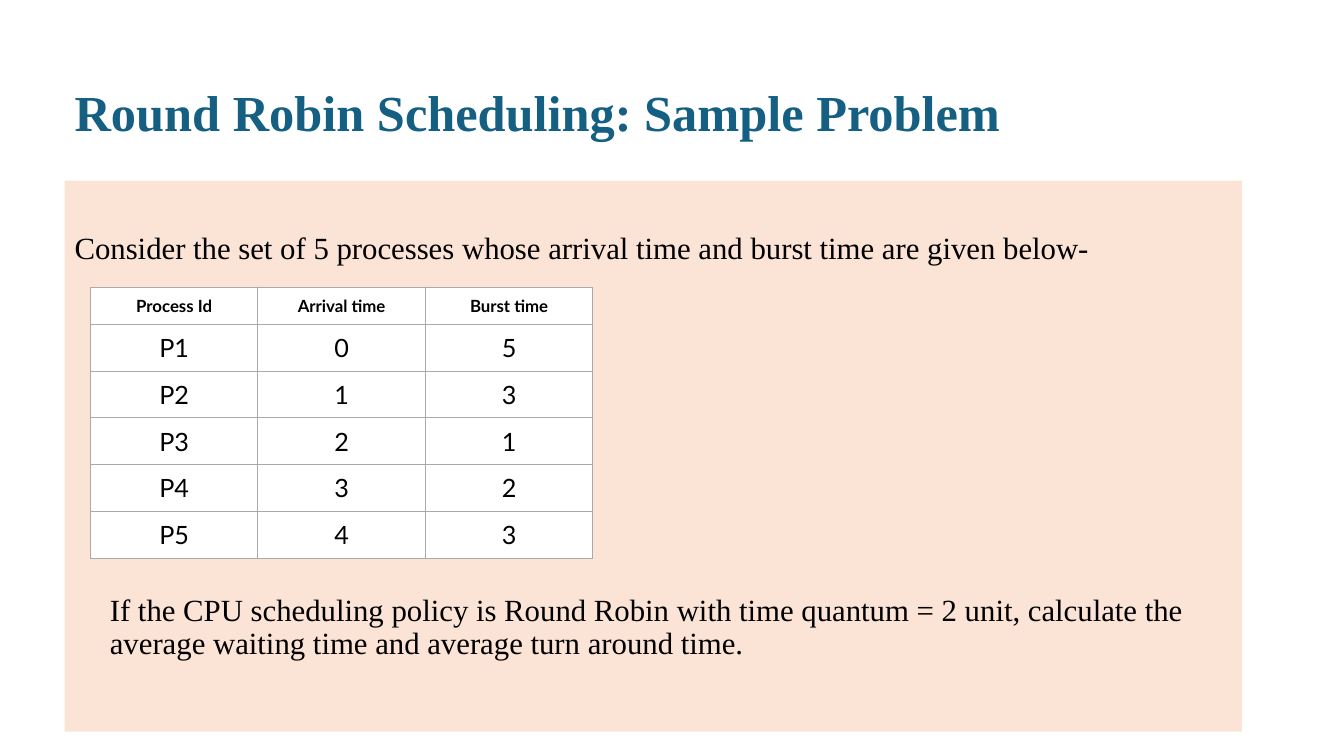
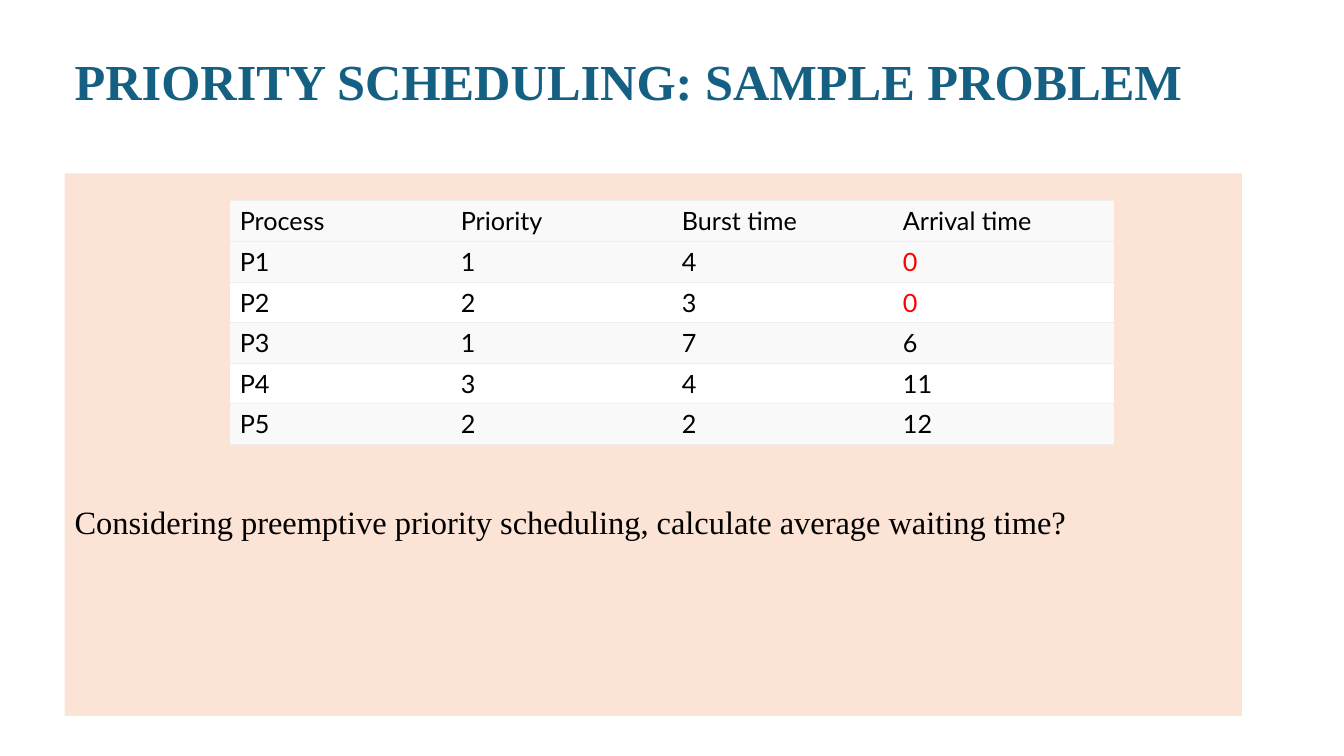
from dataclasses import dataclass

from lxml import etree
from pptx import Presentation
from pptx import util as u
from pptx.dml.color import RGBColor
from pptx.enum import shapes, text
from pptx.oxml import ns


@dataclass(frozen=True)
class Theme:
    title_blue: str = "156082"
    panel_peach: str = "FBE3D6"
    ink: str = "000000"
    highlight_red: str = "FF0000"
    white: str = "FFFFFF"
    stripe: str = "F9F9F9"
    grid_grey: str = "AAAAAA"
    rule_grey: str = "EEEEEE"
    serif: str = "Times New Roman"
    sans: str = "Lato"
    title_size: float = 36
    cell_size: float = 18
    header_size: float = 12
    border_width: float = 0.75


THEME = Theme()
LEFT, WIDTH = u.Cm(1.63), u.Cm(29.67)
TITLE_HEIGHT = u.Cm(1.8)


@dataclass(frozen=True)
class Statement:
    wording: str
    indent: float = 0  # cm
    gap_before: float = 0  # pt
    line_spacing: float = 1.0


@dataclass(frozen=True)
class Panel:
    top: float
    height: float
    text_offset: float
    size: float
    statements: tuple[Statement, ...]


@dataclass(frozen=True)
class ProcessTable:
    left: float
    top: float
    column_width: float
    header_height: float
    row_height: float
    rows: tuple[tuple[str, ...], ...]
    header_size: float
    header_bold: bool
    alignment: text.PP_ALIGN
    padding: float  # cm above and below the text
    fills: tuple[str, str]  # odd rows, even rows
    border: str
    bordered_sides: str
    highlighted: tuple[tuple[int, int], ...] = ()


@dataclass(frozen=True)
class Problem:
    title: str
    title_top: float
    panel: Panel
    table: ProcessTable


PROBLEMS = (
    Problem(
        title="Round Robin Scheduling: Sample Problem",
        title_top=2.1,
        panel=Panel(4.55, 13.89, 1.22, 22, (
            Statement("Consider the set of 5 processes whose arrival time and "
                      "burst time are given below-"),
            Statement("If the CPU scheduling policy is Round Robin with time "
                      "quantum = 2 unit, calculate the average waiting time "
                      "and average turn around time.",
                      indent=0.89, gap_before=235, line_spacing=0.9),
        )),
        table=ProcessTable(
            left=2.28, top=7.24, column_width=4.22,
            header_height=0.93, row_height=1.18,
            rows=(
                ("Process Id", "Arrival time", "Burst time"),
                ("P1", "0", "5"),
                ("P2", "1", "3"),
                ("P3", "2", "1"),
                ("P4", "3", "2"),
                ("P5", "4", "3"),
            ),
            header_size=THEME.header_size, header_bold=True,
            alignment=text.PP_ALIGN.CENTER, padding=0.2,
            fills=(THEME.white, THEME.white),
            border=THEME.grid_grey, bordered_sides="LRTB",
        ),
    ),
    Problem(
        title="PRIORITY SCHEDULING: SAMPLE PROBLEM",
        title_top=1.3,
        panel=Panel(4.37, 13.67, 8.28, 23.2, (
            Statement("Considering preemptive priority scheduling, calculate "
                      "average waiting time?"),
        )),
        table=ProcessTable(
            left=5.79, top=5.06, column_width=5.57,
            header_height=1.02, row_height=1.02,
            rows=(
                ("Process", "Priority", "Burst time", "Arrival time"),
                ("P1", "1", "4", "0"),
                ("P2", "2", "3", "0"),
                ("P3", "1", "7", "6"),
                ("P4", "3", "4", "11"),
                ("P5", "2", "2", "12"),
            ),
            header_size=THEME.cell_size, header_bold=False,
            alignment=text.PP_ALIGN.LEFT, padding=0.13,
            fills=(THEME.stripe, THEME.white),
            border=THEME.rule_grey, bordered_sides="TB",
            highlighted=((1, 3), (2, 3)),
        ),
    ),
)


def rgb(colour: str) -> RGBColor:
    return RGBColor.from_string(colour)


def style_runs(paragraph, font_name: str, size: float, colour: str,
               bold: bool = False) -> None:
    for run in paragraph.runs:
        run.font.name = font_name
        run.font.size = u.Pt(size)
        run.font.bold = bold
        run.font.color.rgb = rgb(colour)


def add_title(slide, wording: str, top: float) -> None:
    frame = slide.shapes.add_textbox(LEFT, u.Cm(top), WIDTH, TITLE_HEIGHT).text_frame
    frame.word_wrap = True
    frame.text = wording
    heading = frame.paragraphs[0]
    heading.line_spacing = 0.9
    style_runs(heading, THEME.serif, THEME.title_size, THEME.title_blue, bold=True)


def add_panel(slide, panel: Panel) -> None:
    backdrop = slide.shapes.add_shape(
        shapes.MSO_SHAPE.RECTANGLE, LEFT, u.Cm(panel.top), WIDTH, u.Cm(panel.height))
    backdrop.shadow.inherit = False
    backdrop.fill.solid()
    backdrop.fill.fore_color.rgb = rgb(THEME.panel_peach)
    backdrop.line.fill.background()
    frame = backdrop.text_frame
    frame.word_wrap = True
    frame.vertical_anchor = text.MSO_ANCHOR.TOP
    frame.margin_top = u.Cm(panel.text_offset)
    frame.text = "\n".join(s.wording for s in panel.statements)
    for paragraph, statement in zip(frame.paragraphs, panel.statements):
        paragraph.alignment = text.PP_ALIGN.LEFT
        paragraph.line_spacing = statement.line_spacing
        if statement.gap_before:
            paragraph.space_before = u.Pt(statement.gap_before)
        if statement.indent:
            properties = paragraph._p.get_or_add_pPr()
            properties.set("marL", str(u.Cm(statement.indent)))
        style_runs(paragraph, THEME.serif, panel.size, THEME.ink)


def set_borders(cell, colour: str, visible_sides: str) -> None:
    """Draw the given sides (of L, R, T, B) and clear the others."""
    properties = cell._tc.get_or_add_tcPr()
    for position, side in enumerate("LRTB"):
        border = etree.Element(ns.qn(f"a:ln{side}"), w=str(u.Pt(THEME.border_width)))
        if side in visible_sides:
            fill = etree.SubElement(border, ns.qn("a:solidFill"))
            etree.SubElement(fill, ns.qn("a:srgbClr"), val=colour)
        else:
            etree.SubElement(border, ns.qn("a:noFill"))
        properties.insert(position, border)


def add_process_table(slide, layout: ProcessTable) -> None:
    row_count, column_count = len(layout.rows), len(layout.rows[0])
    heights = [layout.header_height] + [layout.row_height] * (row_count - 1)
    table = slide.shapes.add_table(
        row_count, column_count, u.Cm(layout.left), u.Cm(layout.top),
        u.Cm(layout.column_width * column_count), u.Cm(sum(heights))).table
    table.first_row = table.horz_banding = False
    for column in table.columns:
        column.width = u.Cm(layout.column_width)
    for r, (values, height) in enumerate(zip(layout.rows, heights)):
        table.rows[r].height = u.Cm(height)
        is_header = r == 0
        # The header shares the fill of the first data row.
        row_fill = layout.fills[(max(r, 1) - 1) % 2]
        for c, value in enumerate(values):
            cell = table.cell(r, c)
            cell.vertical_anchor = text.MSO_ANCHOR.MIDDLE
            cell.margin_top = cell.margin_bottom = u.Cm(layout.padding)
            cell.fill.solid()
            cell.fill.fore_color.rgb = rgb(row_fill)
            set_borders(cell, layout.border, layout.bordered_sides)
            cell.text_frame.text = value
            entry = cell.text_frame.paragraphs[0]
            entry.alignment = layout.alignment
            style_runs(
                entry, THEME.sans,
                layout.header_size if is_header else THEME.cell_size,
                THEME.highlight_red if (r, c) in layout.highlighted else THEME.ink,
                bold=is_header and layout.header_bold)


def main() -> None:
    deck = Presentation()
    deck.slide_width, deck.slide_height = u.Cm(33.87), u.Cm(19.05)
    blank = deck.slide_layouts[6]
    for problem in PROBLEMS:
        slide = deck.slides.add_slide(blank)
        add_title(slide, problem.title, problem.title_top)
        add_panel(slide, problem.panel)
        add_process_table(slide, problem.table)
    deck.save("out.pptx")


if __name__ == "__main__":
    main()
